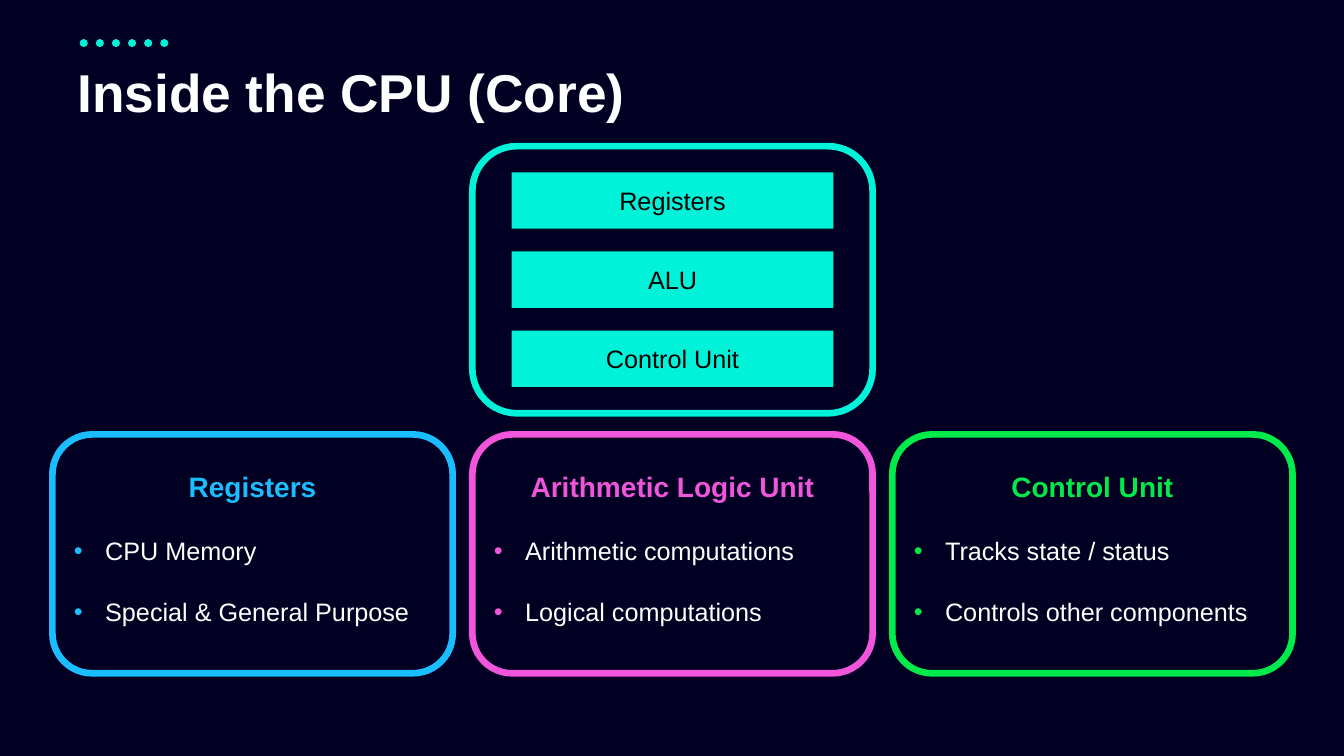
from lxml.etree import SubElement
from pptx import Presentation
from pptx.dml.color import RGBColor
from pptx.enum.dml import MSO_LINE
from pptx.enum.shapes import MSO_CONNECTOR, MSO_SHAPE
from pptx.enum.text import MSO_ANCHOR, PP_ALIGN
from pptx.oxml.ns import qn
from pptx.util import Inches, Pt

# Content
TITLE = "Inside the CPU (Core)"
CORE_PARTS = ["Registers", "ALU", "Control Unit"]
UNITS = [
    ("Registers", "registers", ["CPU Memory", "Special & General Purpose"]),
    ("Arithmetic Logic Unit", "alu", ["Arithmetic computations", "Logical computations"]),
    ("Control Unit", "control", ["Tracks state / status", "Controls other components"]),
]

THEME = {
    "font": "Arial",
    "colors": {"background": "010022", "text": "FFFFFF", "part_text": "000000",
               "core": "00F3D8", "registers": "1ABEFF", "alu": "F155DC",
               "control": "00EB4B"},
    "sizes": {"title": 38, "heading": 20, "body": 18},
    "outline": 4.75,
    "dots": 5.75,
}

# Layout in inches
CARD_LEFT, CARD_TOP, CARD_WIDTH, CARD_HEIGHT = 0.52, 4.31, 3.97, 2.37
CARD_PITCH = 4.165
CORE_TOP, CORE_HEIGHT = 1.45, 2.65
PART_TOP, PART_WIDTH, PART_HEIGHT, PART_PITCH = 1.71, 3.19, 0.56, 0.785
BULLET_INDENT = 0.31
BULLET_GAPS = [23.5, 22]  # points before the first and second bullet


def color(name):
    return RGBColor.from_string(THEME["colors"][name])


def apply_format(target, values):
    for name, value in values.items():
        setattr(target, name, value)


def write(paragraph, text, size, color_name, bold=False):
    paragraph.text = text
    font = paragraph.runs[0].font
    apply_format(font, {"name": THEME["font"], "size": Pt(THEME["sizes"][size]),
                        "bold": bold})
    font.color.rgb = color(color_name)


def add_bullet(paragraph, color_name):
    properties = paragraph._p.get_or_add_pPr()
    properties.set("marL", str(Inches(BULLET_INDENT)))
    properties.set("indent", str(-Inches(BULLET_INDENT)))
    tint = SubElement(properties, qn("a:buClr"))
    SubElement(tint, qn("a:srgbClr"), val=THEME["colors"][color_name])
    SubElement(properties, qn("a:buFont"), typeface=THEME["font"])
    SubElement(properties, qn("a:buChar"), char="•")


def add_block(slide, kind, box, fill, outline=None):
    block = slide.shapes.add_shape(kind, *map(Inches, box))
    block.shadow.inherit = False
    block.fill.solid()
    block.fill.fore_color.rgb = color(fill)
    if outline:
        block.line.color.rgb = color(outline)
        block.line.width = Pt(THEME["outline"])
    else:
        block.line.fill.background()
    return block


def add_header(slide):
    dots = slide.shapes.add_connector(
        MSO_CONNECTOR.STRAIGHT, *map(Inches, (0.83, 0.43, 1.67, 0.43)))
    dots.line.color.rgb = color("core")
    apply_format(dots.line, {"width": Pt(THEME["dots"]),
                             "dash_style": MSO_LINE.ROUND_DOT})
    dots.line._get_or_add_ln().set("cap", "rnd")
    SubElement(dots._element.spPr, qn("a:effectLst"))

    heading = slide.shapes.add_textbox(*map(Inches, (0.67, 0.61, 11.76, 0.68)))
    frame = heading.text_frame
    apply_format(frame, {"word_wrap": True, "vertical_anchor": MSO_ANCHOR.MIDDLE})
    write(frame.paragraphs[0], TITLE, "title", "text", bold=True)
    frame.paragraphs[0].line_spacing = 0.9


def add_unit_card(slide, index, heading, accent, points):
    box = (CARD_LEFT + index * CARD_PITCH, CARD_TOP, CARD_WIDTH, CARD_HEIGHT)
    card = add_block(slide, MSO_SHAPE.ROUNDED_RECTANGLE, box, "background", accent)
    frame = card.text_frame
    apply_format(frame, {"word_wrap": True, "vertical_anchor": MSO_ANCHOR.TOP,
                         "margin_top": Inches(0.23), "margin_bottom": Inches(0.2)})
    write(frame.paragraphs[0], heading, "heading", accent, bold=True)
    frame.paragraphs[0].alignment = PP_ALIGN.CENTER
    for point, gap in zip(points, BULLET_GAPS):
        item = frame.add_paragraph()
        add_bullet(item, accent)
        write(item, point, "body", "text")
        apply_format(item, {"alignment": PP_ALIGN.LEFT, "space_before": Pt(gap)})


def add_core(slide):
    core_left = CARD_LEFT + CARD_PITCH
    add_block(slide, MSO_SHAPE.ROUNDED_RECTANGLE,
              (core_left, CORE_TOP, CARD_WIDTH, CORE_HEIGHT), "background", "core")
    part_left = core_left + (CARD_WIDTH - PART_WIDTH) / 2
    for index, name in enumerate(CORE_PARTS):
        box = (part_left, PART_TOP + index * PART_PITCH, PART_WIDTH, PART_HEIGHT)
        part = add_block(slide, MSO_SHAPE.RECTANGLE, box, "core")
        part.text_frame.vertical_anchor = MSO_ANCHOR.MIDDLE
        label = part.text_frame.paragraphs[0]
        write(label, name, "body", "part_text")
        label.alignment = PP_ALIGN.CENTER


def main():
    deck = Presentation()
    apply_format(deck, {"slide_width": Inches(13.33), "slide_height": Inches(7.5)})
    slide = deck.slides.add_slide(deck.slide_layouts[6])
    slide.background.fill.solid()
    slide.background.fill.fore_color.rgb = color("background")

    add_header(slide)
    for index, unit in enumerate(UNITS):
        add_unit_card(slide, index, *unit)
    add_core(slide)
    deck.save("out.pptx")


if __name__ == "__main__":
    main()
